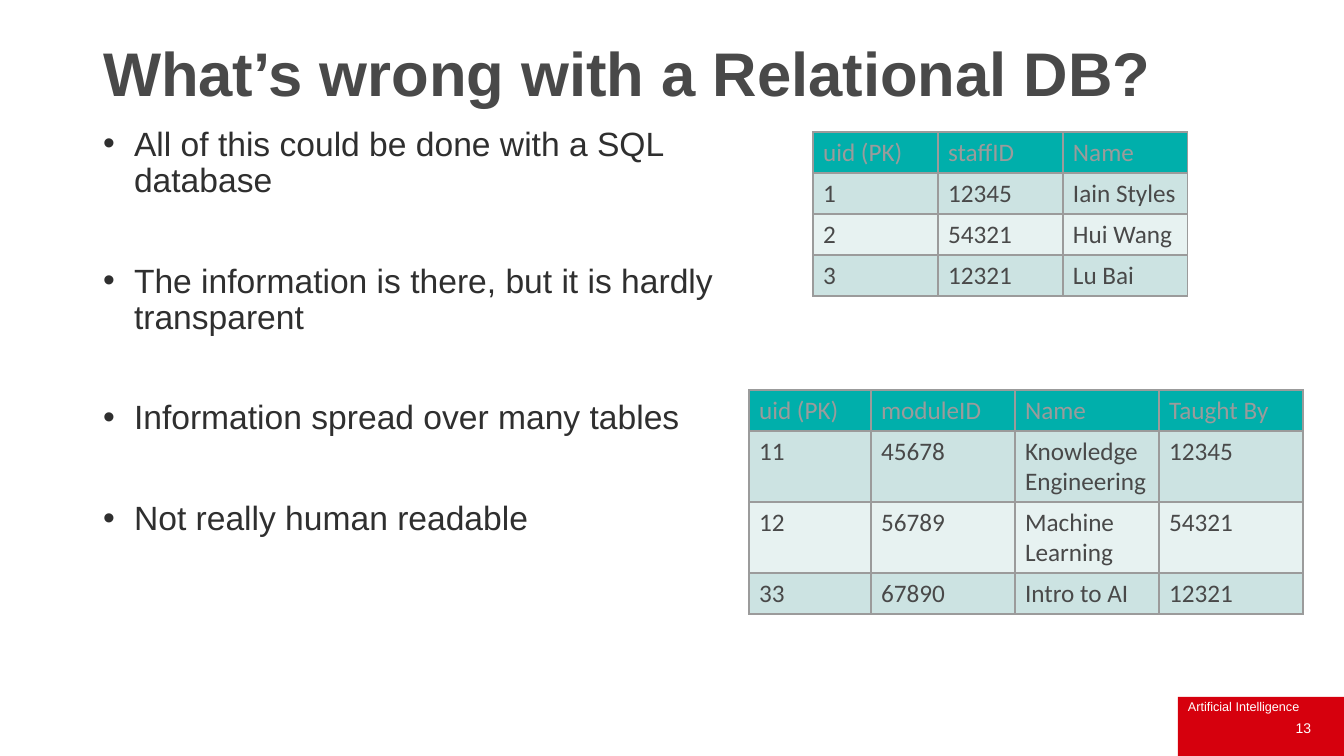
"""Build the slide on what is wrong with a relational database."""
from lxml.etree import SubElement
from pptx import Presentation
from pptx.dml.color import RGBColor
from pptx.enum.shapes import MSO_SHAPE
from pptx.enum.text import MSO_ANCHOR, MSO_AUTO_SIZE, PP_ALIGN
from pptx.oxml.ns import qn
from pptx.util import Emu, Pt

TITLE = "What’s wrong with a Relational DB?"
BULLETS = [
    "All of this could be done with a SQL database",
    "The information is there, but it is hardly transparent",
    "Information spread over many tables",
    "Not really human readable",
]
STAFF = [
    ("uid (PK)", "staffID", "Name"),
    ("1", "12345", "Iain Styles"),
    ("2", "54321", "Hui Wang"),
    ("3", "12321", "Lu Bai"),
]
MODULES = [
    ("uid (PK)", "moduleID", "Name", "Taught By"),
    ("11", "45678", "Knowledge Engineering", "12345"),
    ("12", "56789", "Machine Learning", "54321"),
    ("33", "67890", "Intro to AI", "12321"),
]
COURSE = "Artificial Intelligence"
PAGE_NUMBER = "13"
COLOURS = {
    "title": "494949", "body": "2F2F2F", "red": "D6000D", "white": "FFFFFF",
    "header": "00AFAB", "odd": "CCE3E2", "even": "E7F2F1",
    "grey": "9B9B9B", "cell": "494949",
}
EMU_PER_PX = 914400 / 100.8


def px(length):
    return Emu(round(length * EMU_PER_PX))


def colour(name):
    return RGBColor.from_string(COLOURS[name])


def place(shape, left, top, width, height):
    shape.left, shape.top = px(left), px(top)
    shape.width, shape.height = px(width), px(height)


def add_span(para, text, size, shade, font="Arial", bold=False):
    span = para.add_run()
    span.text = text
    span.font.name, span.font.size, span.font.bold = font, Pt(size), bold
    span.font.color.rgb = colour(shade)


def add_label(page, area, text, size, align, anchor):
    box = page.shapes.add_textbox(*map(px, area))
    frame = box.text_frame
    frame.word_wrap, frame.vertical_anchor = True, anchor
    para = frame.paragraphs[0]
    para.alignment = align
    add_span(para, text, size, "white")


def add_bullet(para):
    properties = para._p.get_or_add_pPr()
    properties.set("marL", str(px(31)))
    properties.set("indent", str(px(-31)))
    SubElement(properties, qn("a:buFont"), typeface="Arial")
    SubElement(properties, qn("a:buChar"), char="•")


def add_borders(cell):
    properties = cell._tc.get_or_add_tcPr()
    for side in ("lnL", "lnR", "lnT", "lnB"):
        line = SubElement(properties, qn(f"a:{side}"), w=str(Pt(1)))
        fill = SubElement(line, qn("a:solidFill"))
        SubElement(fill, qn("a:srgbClr"), val=COLOURS["grey"])


def add_grid(page, left, top, widths, heights, rows):
    area = (left, top, sum(widths), sum(heights))
    table = page.shapes.add_table(len(rows), len(widths), *map(px, area)).table
    for column, width in zip(table.columns, widths):
        column.width = px(width)
    for number, (row, height) in enumerate(zip(rows, heights)):
        table.rows[number].height = px(height)
        band = "header" if number == 0 else ("even", "odd")[number % 2]
        shade = "cell" if number else "grey"
        for cell, text in zip(table.rows[number].cells, row):
            add_borders(cell)
            cell.fill.solid()
            cell.fill.fore_color.rgb = colour(band)
            para = cell.text_frame.paragraphs[0]
            add_span(para, text, 18, shade, "Calibri")


def main():
    deck = Presentation()
    deck.slide_width, deck.slide_height = px(1344), px(756)
    page = deck.slides.add_slide(deck.slide_layouts[1])

    corner = page.shapes.add_shape(MSO_SHAPE.RECTANGLE, *map(px, (1178, 697, 166, 59)))
    corner.shadow.inherit = False
    corner.fill.solid()
    corner.fill.fore_color.rgb = colour("red")
    corner.line.fill.background()
    add_label(page, (1178, 694, 154, 25), COURSE, 9, PP_ALIGN.LEFT, MSO_ANCHOR.TOP)
    add_label(page, (1019, 708, 302, 40), PAGE_NUMBER, 10, PP_ALIGN.RIGHT, MSO_ANCHOR.MIDDLE)

    title, body = page.placeholders
    place(title, 93, 42, 1096, 70)
    place(body, 93, 122, 641, 539)
    for holder, anchor in ((title, MSO_ANCHOR.MIDDLE), (body, MSO_ANCHOR.TOP)):
        holder.text_frame.auto_size = MSO_AUTO_SIZE.NONE
        holder.text_frame.vertical_anchor = anchor

    heading = title.text_frame.paragraphs[0]
    heading.alignment, heading.line_spacing = PP_ALIGN.LEFT, 0.9
    add_span(heading, TITLE, 44, "title", bold=True)

    for number, text in enumerate(BULLETS):
        para = body.text_frame.add_paragraph() if number else body.text_frame.paragraphs[0]
        add_bullet(para)
        para.line_spacing = 0.9
        para.space_before = Pt(46 if number else 0)
        add_span(para, text, 24, "body")

    add_grid(page, 813, 132, [125] * 3, [41] * 4, STAFF)
    add_grid(page, 749, 390, [122] + [144] * 3, [41, 71, 71, 41], MODULES)
    deck.save("out.pptx")


if __name__ == "__main__":
    main()
